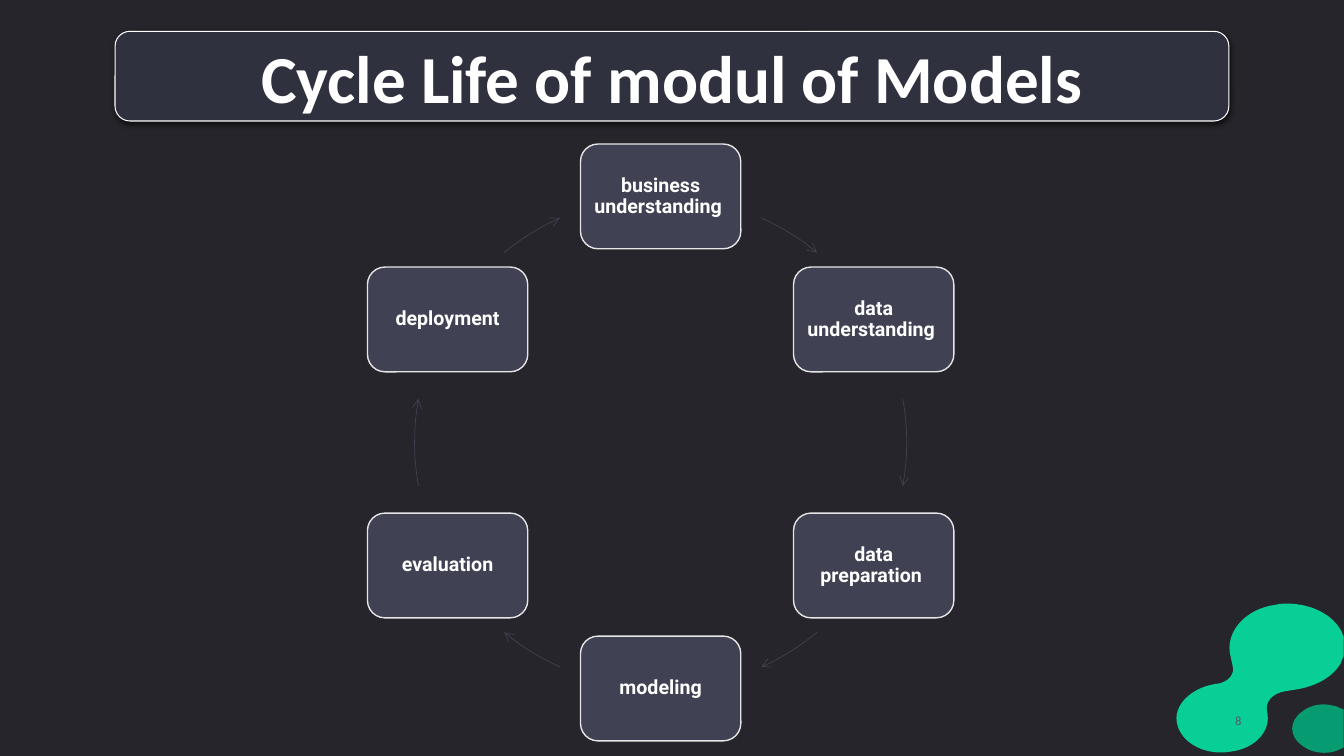
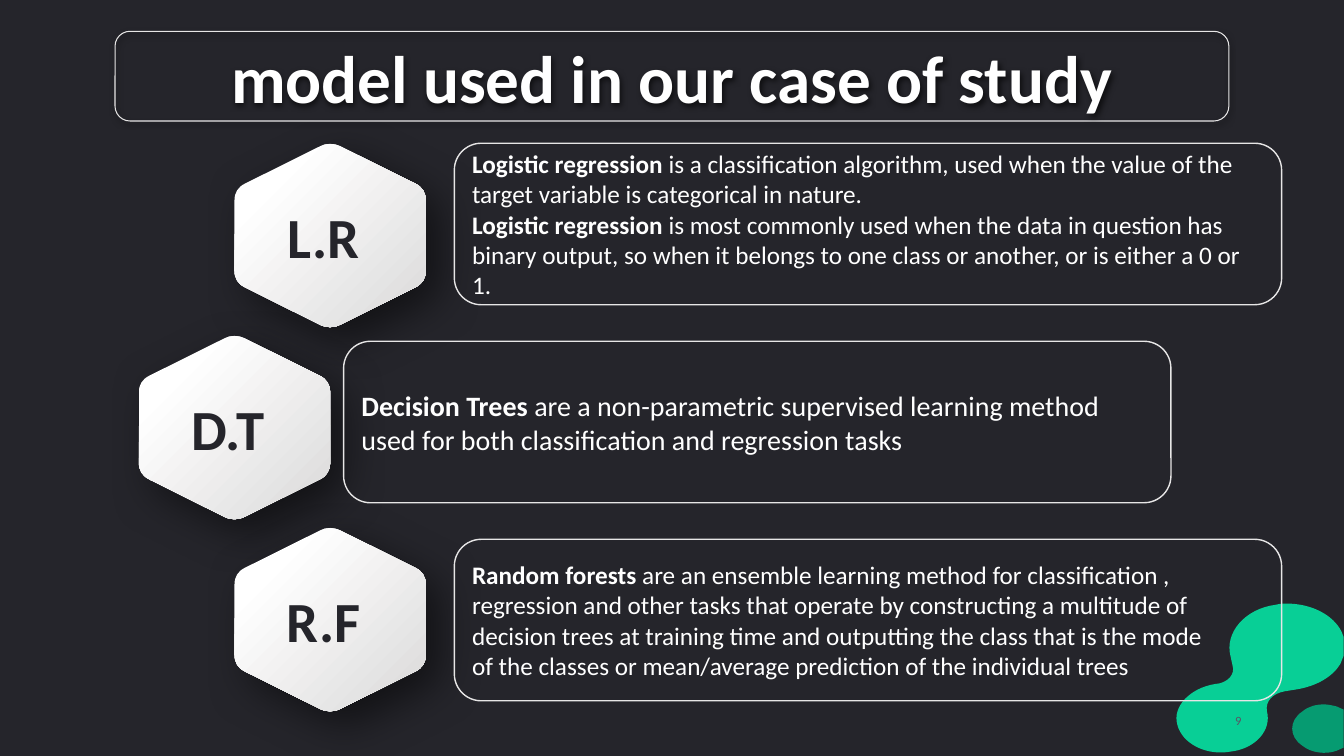
from dataclasses import dataclass
from math import cos, dist, radians, sin

from lxml import etree
from pptx import Presentation
from pptx.dml.color import RGBColor
from pptx.enum.shapes import MSO_SHAPE
from pptx.enum.text import MSO_ANCHOR, MSO_AUTO_SIZE, PP_ALIGN
from pptx.oxml.ns import qn
from pptx.util import Cm, Pt

ROUND, ARC = MSO_SHAPE.ROUNDED_RECTANGLE, MSO_SHAPE.ARC
MIDDLE = MSO_ANCHOR.MIDDLE
LEFT, CENTER, RIGHT = PP_ALIGN.LEFT, PP_ALIGN.CENTER, PP_ALIGN.RIGHT
FIT_NONE = MSO_AUTO_SIZE.NONE


@dataclass(frozen=True)
class Theme:
    back: str = "25252B"
    panel: str = "30313E"
    node: str = "404152"
    white: str = "FFFFFF"
    border: str = "E7E6E6"
    silver: str = "DAD9D9"
    muted: str = "575765"
    green: str = "08CF96"
    dark_green: str = "069B71"
    font: str = "Calibri"
    node_font: str = "Roboto"
    title_size: float = 48
    badge_size: float = 40.5
    node_size: float = 14
    number_size: float = 9


@dataclass(frozen=True)
class Box:
    x: float
    y: float
    w: float
    h: float

    def cm(self):
        return Cm(self.x), Cm(self.y), Cm(self.w), Cm(self.h)


T = Theme()
SLIDE = Box(0, 0, 33.87, 19.05)
TITLE = Box(2.9, 0.79, 28.07, 2.26)
NUMBER = Box(23.92, 17.65, 7.62, 1.02)
BLOB_BOX = Box(29.64, 15.21, 4.22, 3.77)
DROP_BOX = Box(32.56, 17.75, 1.3, 1.22)
CYCLE = Box(10.45, 4.95, 12.4, 12.4)
MODELS = Box(3.5, 3.61, 28.81, 14.32)

BLOB = [
    (2.79, 0),
    (3.4, 0, 3.96, 0.28, 4.17, 0.71), (4.22, 0.84), (4.22, 1.32), (4.14, 1.52),
    (3.94, 1.85, 3.53, 2.08, 3.05, 2.16), (2.74, 2.21),
    (2.44, 2.26, 2.24, 2.46, 2.29, 2.72),
    (2.41, 3.18, 2.01, 3.66, 1.37, 3.73),
    (0.76, 3.84, 0.15, 3.53, 0.03, 3.05),
    (-0.1, 2.59, 0.36, 2.13, 0.97, 2.03),
    (1.3, 2.01, 1.5, 1.78, 1.42, 1.55), (1.37, 1.32),
    (1.22, 0.74, 1.73, 0.13, 2.51, 0.03),
    (2.62, 0, 2.72, 0, 2.79, 0),
]
DROP = [
    (0.81, 0),
    (0.92, 0, 1.02, 0.03, 1.12, 0.05), (1.3, 0.13), (1.3, 1.09), (1.12, 1.17),
    (0.84, 1.27, 0.48, 1.22, 0.26, 1.04),
    (-0.08, 0.81, -0.08, 0.41, 0.26, 0.18),
    (0.41, 0.05, 0.61, 0, 0.81, 0),
]

STAGES = ["business understanding ", "data understanding ", "data preparation ",
          "modeling", "evaluation", "deployment"]
ARROW_SPANS = [(294.2, 309.5), (349.8, 10.2), (50.5, 65.8)]

MODEL_ROWS = [
    ("L.R ", 18, [
        ("Logistic regression ", "is a classification algorithm, used when the value of "
         "the target variable is categorical in nature."),
        ("Logistic regression ", "is most commonly used when the data in question has "
         "binary output, so when it belongs to one class or another, or is either a 0 or 1."),
    ]),
    ("D.T ", 20, [
        ("Decision Trees ", "are a non-parametric supervised learning method used for "
         "both classification and regression tasks"),
    ]),
    ("R.F ", 18, [
        ("Random forests ", "are an ensemble learning method for classification , "
         "regression and other tasks that operate by constructing a multitude of decision "
         "trees at training time and outputting the class that is the mode"),
        ("", "of the classes or mean/average prediction of the individual trees"),
    ]),
]


def rgb(color):
    return RGBColor.from_string(color)


def paint(s, fill=None, line=None, width=1):
    if fill:
        s.fill.solid()
        s.fill.fore_color.rgb = rgb(fill)
    else:
        s.fill.background()
    if line:
        s.line.color.rgb = rgb(line)
        s.line.width = Pt(width)
    else:
        s.line.fill.background()
    s.shadow.inherit = False


def cast_shadow(s, alpha, blur, distance, angle):
    s.shadow.inherit = False
    effects = s.element.spPr.find(qn("a:effectLst"))
    outer = etree.SubElement(effects, qn("a:outerShdw"), blurRad=str(Pt(blur)),
                             dist=str(Pt(distance)), dir=str(angle * 60000),
                             algn="ctr", rotWithShape="0")
    color = etree.SubElement(outer, qn("a:srgbClr"), val="000000")
    etree.SubElement(color, qn("a:alpha"), val=str(alpha * 1000))


def style_run(r, size, color=T.white, font=T.font, bold=False):
    r.font.name, r.font.size, r.font.bold = font, Pt(size), bold
    r.font.color.rgb = rgb(color)


def set_frame(tf, margins=None):
    tf.word_wrap = True
    tf.auto_size = FIT_NONE
    tf.vertical_anchor = MIDDLE
    if margins:
        tf.margin_left = tf.margin_right = Cm(margins[0])
        tf.margin_top = tf.margin_bottom = Cm(margins[1])


def label(s, text, size, align=CENTER, margins=None, **style):
    tf = s.text_frame
    set_frame(tf, margins)
    tf.text = text
    p = tf.paragraphs[0]
    p.alignment = align
    style_run(p.runs[0], size, **style)
    return p


def outline(shapes, box, segments):
    builder = shapes.build_freeform(Cm(box.x), Cm(box.y))
    builder.add_line_segments([(Cm(box.x + box.w), Cm(box.y + box.h))], close=True)
    s = builder.convert_to_shape()
    contour = next(s.element.iter(qn("a:path")))
    for child in list(contour):
        contour.remove(child)
    for i, seg in enumerate(segments):
        tag = "a:moveTo" if i == 0 else "a:lnTo" if len(seg) == 2 else "a:cubicBezTo"
        command = etree.SubElement(contour, qn(tag))
        for x, y in zip(seg[::2], seg[1::2]):
            etree.SubElement(command, qn("a:pt"), x=str(Cm(x)), y=str(Cm(y)))
    etree.SubElement(contour, qn("a:close"))
    return s


def toward(a, b, length):
    t = length / dist(a, b)
    return a[0] + (b[0] - a[0]) * t, a[1] + (b[1] - a[1]) * t


def rounded_hexagon(w, h, cut=0.29, overshoot=0.05):
    side = 1.15
    corners = [(w / 2, -overshoot), (w, side), (w, h - side),
               (w / 2, h + overshoot), (0, h - side), (0, side)]
    segments = []
    for i, corner in enumerate(corners):
        before, after = corners[i - 1], corners[(i + 1) % 6]
        pull = cut / 3
        segments += [toward(corner, before, cut),
                     toward(corner, before, pull) + toward(corner, after, pull)
                     + toward(corner, after, cut)]
    return segments


def decorate_layout(slide, layout):
    for color, box, segments in ((T.green, BLOB_BOX, BLOB),
                                 (T.dark_green, DROP_BOX, DROP)):
        s = outline(slide.shapes, box, segments)
        paint(s, color)
        layout.shapes.element.append(s.element)


def add_titled_slide(prs, layout, title, number, panel, border):
    slide = prs.slides.add_slide(layout)
    frame = slide.shapes.add_shape(ROUND, *TITLE.cm())
    paint(frame, panel, border, 0.75)
    cast_shadow(frame, 63, 4.5, 1.5, 90)
    s = slide.shapes.title
    s.left, s.top, s.width, s.height = TITLE.cm()
    label(s, title, T.title_size, bold=True)
    if not panel:
        paint(s)
        cast_shadow(s, 63, 4.5, 1.5, 90)
    frame.element.addnext(s.element)
    s = slide.shapes.add_textbox(*NUMBER.cm())
    label(s, str(number), T.number_size, RIGHT, color=T.muted)
    return slide


def add_cycle(slide, box, stages, node_w=4.04, node_h=2.64):
    radius = box.w / 2
    for i, stage in enumerate(stages):
        angle = radians(60 * i - 90)
        x = box.x + radius * (1 + cos(angle)) - node_w / 2
        y = box.y + radius * (1 + sin(angle)) - node_h / 2
        s = slide.shapes.add_shape(ROUND, *Box(x, y, node_w, node_h).cm())
        paint(s, T.node, T.border)
        p = label(s, stage, T.node_size, margins=(0.15, 0.15),
                  font=T.node_font, bold=True)
        p.line_spacing = 0.9

        arrow = slide.shapes.add_shape(ARC, *box.cm())
        paint(arrow, line=T.node, width=0.5)
        for k, degrees in enumerate(ARROW_SPANS[i % 3]):
            arrow.adjustments[k] = (degrees + 180 * (i // 3)) % 360 * 0.6
        ln = arrow.element.spPr.find(qn("a:ln"))
        etree.SubElement(ln, qn("a:tailEnd"), type="arrow")


def add_badge(slide, box, text):
    s = outline(slide.shapes, box, rounded_hexagon(box.w, box.h))
    paint(s)
    s.fill.gradient()
    s.fill.gradient_angle = 315
    for stop, position, color in zip(s.fill.gradient_stops, (0.2, 1), (T.white, T.silver)):
        stop.position = position
        stop.color.rgb = rgb(color)
    cast_shadow(s, 50, 30, 14, 45)
    label(s, text, T.badge_size, margins=(0.15, 0.08), color=T.back, bold=True)


def add_description(slide, box, paragraphs, size):
    s = slide.shapes.add_shape(ROUND, *box.cm())
    paint(s, line=T.border)
    tf = s.text_frame
    set_frame(tf)
    for i, (term, text) in enumerate(paragraphs):
        p = tf.add_paragraph() if i else tf.paragraphs[0]
        p.alignment = LEFT
        for part, bold in ((term, True), (text, False)):
            if part:
                r = p.add_run()
                r.text = part
                style_run(r, size, bold=bold)


def add_models(slide, box, rows):
    for i, (badge, _, _) in enumerate(rows):
        x = box.x if i % 2 else box.x + 2.41
        add_badge(slide, Box(x, box.y + 4.84 * i, 4.82, 4.65), badge)
    for i, (_, size, paragraphs) in enumerate(rows):
        x = box.x + (5.16 if i % 2 else 7.95)
        add_description(slide, Box(x, box.y + 4.99 * i, 20.85, 4.07), paragraphs, size)


def main():
    prs = Presentation()
    prs.slide_width, prs.slide_height = Cm(SLIDE.w), Cm(SLIDE.h)
    back = prs.slide_master.background.fill
    back.solid()
    back.fore_color.rgb = rgb(T.back)
    layout = prs.slide_layouts[5]
    for s in list(layout.placeholders)[1:]:
        layout.shapes.element.remove(s.element)

    slide = add_titled_slide(prs, layout, "Cycle Life of modul of Models", 8,
                             T.panel, T.white)
    decorate_layout(slide, layout)
    add_cycle(slide, CYCLE, STAGES)

    slide = add_titled_slide(prs, layout, "model used in our case of study", 9,
                             None, T.border)
    add_models(slide, MODELS, MODEL_ROWS)
    prs.save("out.pptx")


if __name__ == "__main__":
    main()
